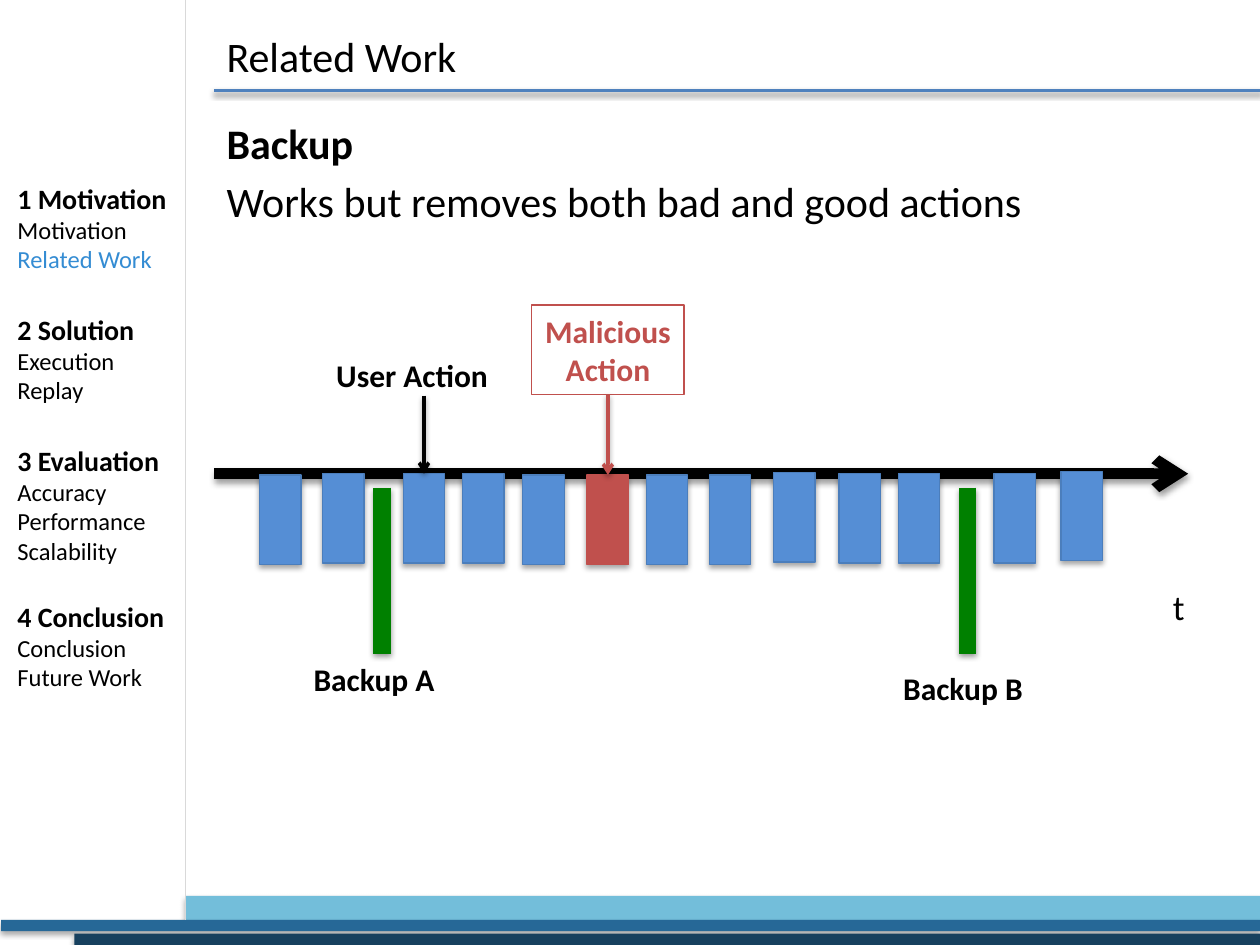
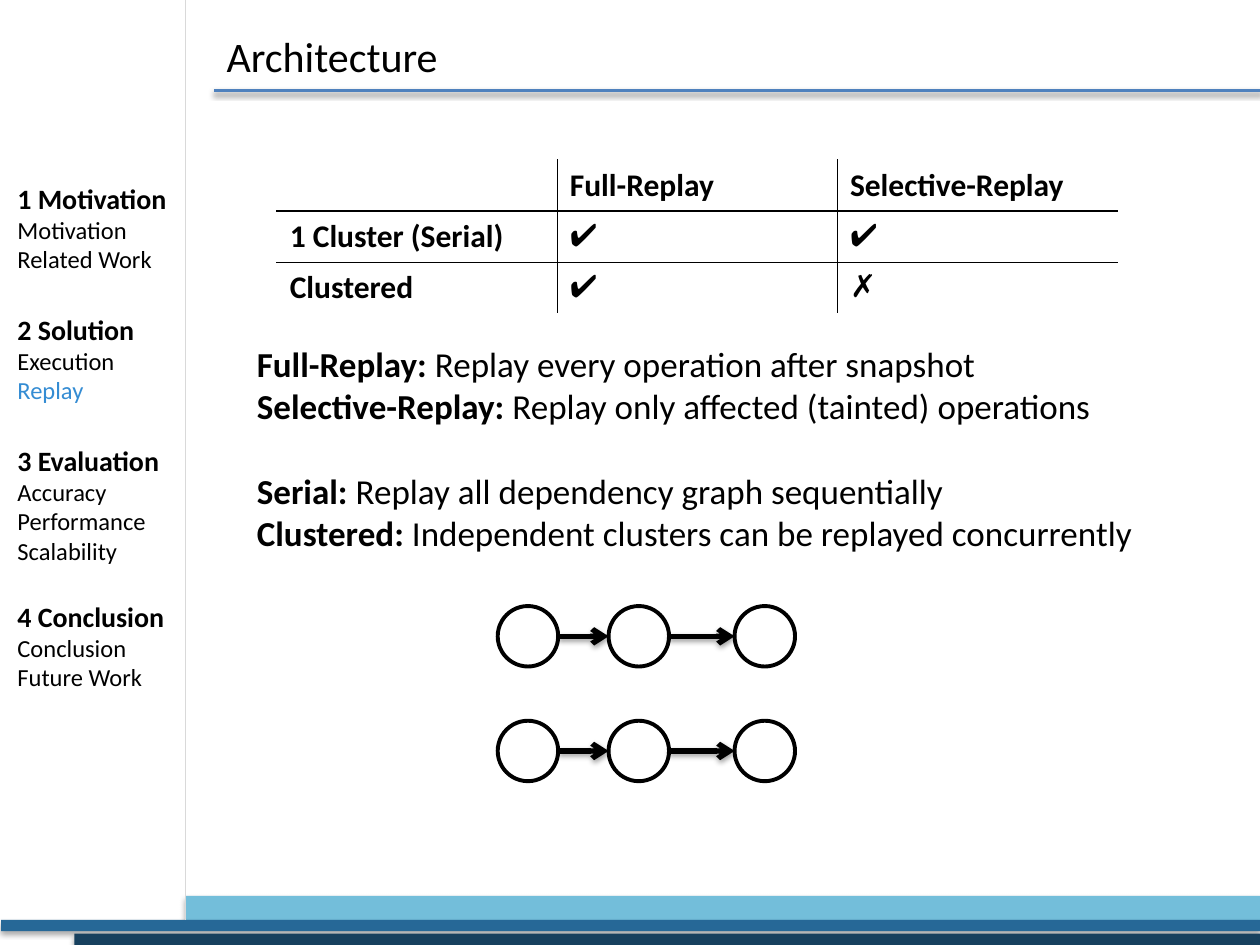
import lxml.etree
import pptx
import pptx.dml.color
import pptx.enum.shapes
import pptx.enum.text
import pptx.oxml.ns
import pptx.util

COLS, ROWS = 100, 75
CELL = pptx.util.Inches(0.1)
BLACK, WHITE, RED, BLUE = "000000", "FFFFFF", "C0504D", "558ED5"
EDGE, GREEN, HOT, RULE, PALE = "4B7EBC", "008000", "348CD3", "4F81BD", "D9D9D9"
SIDE, MAIN = 14.7, 17  # columns of the sidebar edge and of the main area
BANDS = [
    (SIDE, 71.1, 2, "73BEDA"),
    (0.1, 73, 0.9, "266897"),
    (5.9, 74.1, 0.9, "17405E"),
]
MENU = [  # heading, its entries, points of space above
    ("1 Motivation", ["Motivation", "Related Work"], 0),
    ("2 Solution", ["Execution", "Replay"], 22),
    ("3 Evaluation", ["Accuracy", "Performance", "Scalability"], 22),
    ("4 Conclusion", ["Conclusion", "Future Work"], 19.5),
]
SHAPE = pptx.enum.shapes.MSO_SHAPE
ALIGN = pptx.enum.text.PP_ALIGN


def grid(*cells):
    return [round(cell * CELL) for cell in cells]


def paint(color):
    return pptx.dml.color.RGBColor.from_string(color)


def style(para, size, bold=None, color=BLACK, name="Calibri"):
    font = para.font
    font.name, font.size, font.bold = name, pptx.util.Pt(size), bold
    font.color.rgb = paint(color)


def write(frame, line, size, bold=None, color=BLACK, gap=0):
    """Add a paragraph; a (lead, rest) pair gets a bold lead."""
    first = frame.paragraphs[0]
    para = frame.add_paragraph() if first.runs else first
    style(para, size, bold, color)
    para.space_before = pptx.util.Pt(gap)
    if isinstance(line, tuple):
        for part, heavy in zip(line, (True, False)):
            run = para.add_run()
            run.text, run.font.bold = part, heavy
    else:
        para.add_run().text = line
    return para


def text_box(slide, x, y, wide, high, wrap=True):
    frame = slide.shapes.add_textbox(*grid(x, y, wide, high)).text_frame
    frame.word_wrap = wrap
    if not wrap:
        frame.auto_size = pptx.enum.text.MSO_AUTO_SIZE.SHAPE_TO_FIT_TEXT
    return frame


def label(slide, words, x, y, wide, size=18, bold=True):
    write(text_box(slide, x, y, wide, 4, wrap=False), words, size, bold)


def block(slide, x, y, wide, high, fill=None, edge=None, thick=0.75,
          kind=SHAPE.RECTANGLE, shade=True):
    shape = slide.shapes.add_shape(kind, *grid(x, y, wide, high))
    if fill:
        shape.fill.solid()
        shape.fill.fore_color.rgb = paint(fill)
    else:
        shape.fill.background()
    if edge:
        shape.line.color.rgb = paint(edge)
        shape.line.width = pptx.util.Pt(thick)
    else:
        shape.line.fill.background()
    if not shade:
        shape.shadow.inherit = False
    return shape


def link(slide, x1, y1, x2, y2, color=BLACK, thick=2, arrow=False):
    """Draw a straight line that keeps the soft shadow of the theme."""
    line = slide.shapes.add_connector(
        pptx.enum.shapes.MSO_CONNECTOR.STRAIGHT, *grid(x1, y1, x2, y2))
    line.line.color.rgb = paint(color)
    line.line.width = pptx.util.Pt(thick)
    if arrow:
        stroke = line.element.spPr.find(pptx.oxml.ns.qn("a:ln"))
        lxml.etree.SubElement(stroke, pptx.oxml.ns.qn("a:tailEnd"), type="arrow")
    return line


def menu(slide, topic):
    frame = text_box(slide, 0.4, 13.9, 14.6, 44.1)
    for head, items, gap in MENU:
        write(frame, head, 16, True, gap=gap)
        for item in items:
            write(frame, item, 14, color=HOT if item == topic else BLACK)


def new_slide(deck, title, topic):
    """Add a slide with bands, rules, title and sidebar menu."""
    slide = deck.slides.add_slide(deck.slide_layouts[6])
    for x, y, high, color in BANDS:
        block(slide, x, y, COLS - x, high, color)
    link(slide, MAIN, 7.2, COLS, 7.2, RULE)
    link(slide, SIDE, 0, SIDE, 73, PALE, 0.25)
    frame = text_box(slide, MAIN, 2.2, 47.3, 4.5)
    frame.vertical_anchor = pptx.enum.text.MSO_ANCHOR.MIDDLE
    write(frame, title, 24)
    menu(slide, topic)
    return slide


def timeline(slide):
    wide, high = 3.3, 7.1
    link(slide, MAIN, 37.6, 94.3, 37.6, thick=6, arrow=True)
    label(slide, "t", 92.1, 46, 3, 20, False)
    for name, x, left, top in [("A", 30.3, 23.9, 51.9), ("B", 76.8, 70.7, 52.6)]:
        link(slide, x, 38.7, x, 51.9, GREEN, 10)
        label(slide, f"Backup {name}", left, top, 11.7)

    tops = [37.7, 37.6, 37.6, 37.6, 37.7, 37.7, 37.7, 37.7, 37.5, 37.6, 37.6, 37.6, 37.4]
    lefts = [20.6, 25.6, 32, 36.7, 41.5, 46.6, 51.3, 56.3, 61.4, 66.6, 71.3, 78.9, 84.2]
    user, bad = 2, 5
    bars = []
    for i, (x, y) in enumerate(zip(lefts, tops)):
        fill, edge = (RED, RED) if i == bad else (BLUE, EDGE)
        bars.append(block(slide, x, y, wide, high, fill, edge))

    x = lefts[user] + wide / 2
    link(slide, x, 31.4, x, tops[user], arrow=True).end_connect(bars[user], 0)
    label(slide, "User Action", 25.7, 27.8, 14.2)

    alert = block(slide, 42.2, 24.2, 12.1, 7.1, edge=RED, shade=False)
    alert.text_frame.word_wrap = False
    for word in ("Malicious", "Action"):
        write(alert.text_frame, word, 18, True, RED).alignment = ALIGN.CENTER
    x = lefts[bad] + wide / 2
    arrow = link(slide, x, 31.3, x, tops[bad], RED, arrow=True)
    arrow.begin_connect(alert, 2)
    arrow.end_connect(bars[bad], 0)


def border(cell, sides):
    props = cell._tc.get_or_add_tcPr()
    for side in sides:
        line = lxml.etree.SubElement(
            props, pptx.oxml.ns.qn(f"a:ln{side}"), w=str(pptx.util.Pt(1)))
        fill = lxml.etree.SubElement(line, pptx.oxml.ns.qn("a:solidFill"))
        lxml.etree.SubElement(fill, pptx.oxml.ns.qn("a:srgbClr"), val=BLACK)


def matrix(slide, rows, x, y, wide, high):
    """Add a table with ruled inner edges only."""
    last, end = len(rows) - 1, len(rows[0]) - 1
    table = slide.shapes.add_table(
        last + 1, end + 1, *grid(x, y, wide, high)).table
    table.first_row = table.horz_banding = False
    for r, row in enumerate(rows):
        for c, words in enumerate(row):
            cell = table.cell(r, c)
            inner = {"L": c > 0, "R": c < end, "T": r > 0, "B": r < last}
            border(cell, [side for side, shown in inner.items() if shown])
            cell.fill.background()
            cell.text = words
            style(cell.text_frame.paragraphs[0], 18, True,
                  name="Arial" if words in ("✔", "✗") else "Calibri")


def chain(slide, y):
    """Draw a row of circles joined by arrows."""
    size, lefts = 4.8, [39.5, 48.3, 58.3]
    for x in lefts:
        block(slide, x, y, size, size, WHITE, BLACK, 2.25, SHAPE.OVAL, False)
    for x, follow in zip(lefts, lefts[1:]):
        mid = y + size / 2
        link(slide, x + size, mid, follow, mid, thick=3, arrow=True)


def main():
    deck = pptx.Presentation()
    deck.slide_width, deck.slide_height = grid(COLS, ROWS)

    slide = new_slide(deck, "Related Work", "Related Work")
    frame = text_box(slide, MAIN, 8.8, 81.1, 21)
    write(frame, "Backup", 24, True)
    write(frame, "Works but removes both bad and good actions", 24, gap=4.8)
    timeline(slide)

    slide = new_slide(deck, "Architecture", "Replay")
    matrix(slide, [
        ["", "Full-Replay", "Selective-Replay"],
        ["1 Cluster (Serial)", "✔", "✔"],
        ["Clustered", "✔", "✗"],
    ], 22, 12.7, 66.7, 12.2)
    frame = text_box(slide, 19.4, 26.7, 77.1, 17.8)
    for lead, rest, gap in [
        ("Full-Replay:", " Replay every operation after snapshot", 0),
        ("Selective-Replay:", " Replay only affected (tainted) operations", 0),
        ("Serial: ", "Replay all dependency graph sequentially", 24.4),
        ("Clustered: ", "Independent clusters can be replayed concurrently", 0),
    ]:
        write(frame, (lead, rest), 20, gap=gap)
    for y in (48.1, 57.2):
        chain(slide, y)

    deck.save("out.pptx")


if __name__ == "__main__":
    main()
